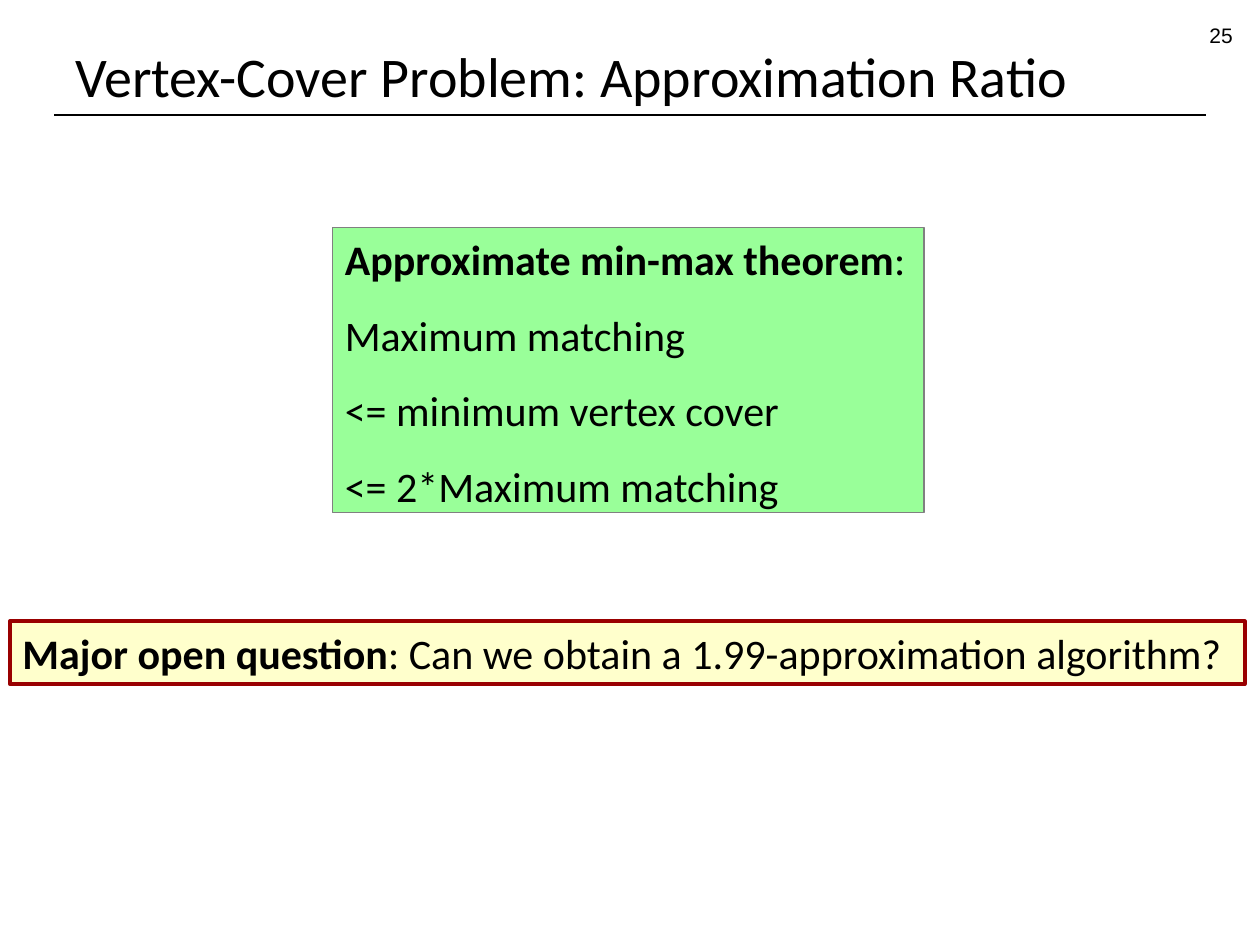
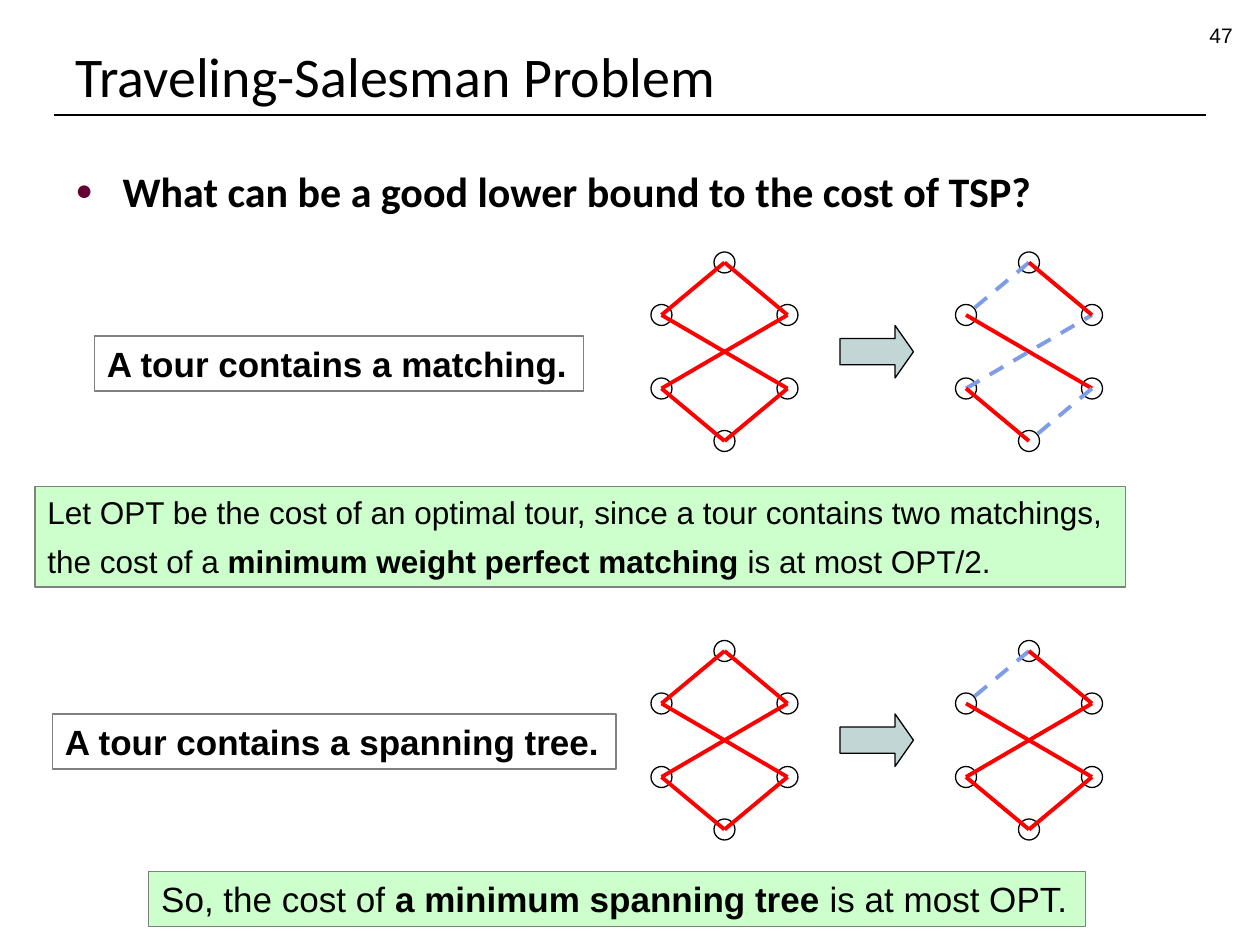
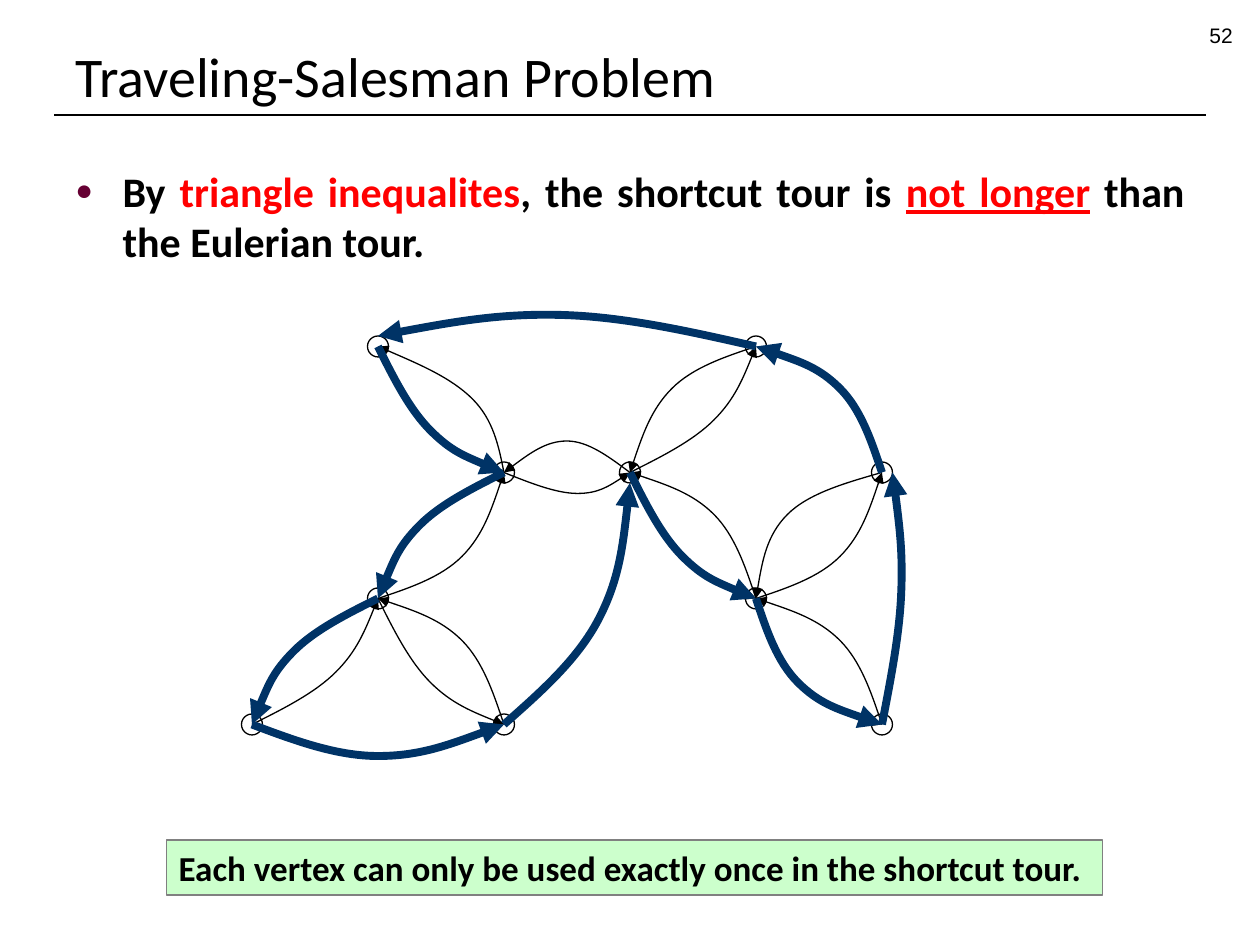
from typing import NamedTuple, Optional, Sequence

from lxml import etree
from pptx import Presentation
from pptx.dml.color import RGBColor
from pptx.enum.dml import MSO_LINE
from pptx.enum.shapes import MSO_CONNECTOR, MSO_SHAPE
from pptx.enum.text import MSO_ANCHOR, MSO_AUTO_SIZE, PP_ALIGN
from pptx.oxml.ns import qn
from pptx.util import Pt

STRAIGHT = MSO_CONNECTOR.STRAIGHT
RECTANGLE, OVAL, ARROW = MSO_SHAPE.RECTANGLE, MSO_SHAPE.OVAL, MSO_SHAPE.RIGHT_ARROW
DASH = MSO_LINE.DASH
TOP, BOTTOM = MSO_ANCHOR.TOP, MSO_ANCHOR.BOTTOM
LEFT, RIGHT, JUSTIFY = PP_ALIGN.LEFT, PP_ALIGN.RIGHT, PP_ALIGN.JUSTIFY
GROW = MSO_AUTO_SIZE.SHAPE_TO_FIT_TEXT

# Shared look
BLACK, WHITE, GREY, RED = "000000", "FFFFFF", "808080", "FF0000"
NAVY, DROPPED_BLUE, ARROW_FILL = "003366", "7E9CE8", "C2D6D6"
MINT, GREEN, CREAM, MAROON, BULLET = "CCFFCC", "99FF99", "FFFFCC", "990000", "660033"
HEADING_FONT, LABEL_FONT = "Calibri", "Arial"
THIN, MEDIUM, THICK = 0.75, 2.25, 4.5
NODE = 12


class Span(NamedTuple):
    text: str
    bold: bool = False
    color: str = BLACK
    underline: bool = False


class Line(NamedTuple):
    spans: Sequence[Span]
    spacing: float = 1.0


class Box(NamedTuple):
    x: float
    y: float
    w: float
    h: float


class Panel(NamedTuple):
    box: Box
    lines: Sequence[Line]
    size: float
    font: str = LABEL_FONT
    fill: Optional[str] = MINT
    border: str = GREY
    border_width: float = THIN


class Point(NamedTuple):
    x: float
    y: float


class Route(NamedTuple):
    """A curve leaving a vertex; its profile is mirrored by sx and sy."""
    start: Point
    profile: Sequence[tuple]
    sx: int
    sy: int


def rgb(value: str) -> RGBColor:
    return RGBColor.from_string(value)


def paint(shape, fill: Optional[str], border: str, width: float) -> None:
    shape.shadow.inherit = False
    if fill:
        shape.fill.solid()
        shape.fill.fore_color.rgb = rgb(fill)
    else:
        shape.fill.background()
    shape.line.color.rgb = rgb(border)
    shape.line.width = Pt(width)


def write(paragraph, spans: Sequence[Span], font: str, size: float) -> None:
    for span in spans:
        run = paragraph.add_run()
        run.text = span.text
        run.font.name, run.font.size = font, Pt(size)
        run.font.bold, run.font.underline = span.bold, span.underline
        run.font.color.rgb = rgb(span.color)


def add_shape(slide, kind, box: Box, fill: Optional[str], border=BLACK, width=THIN):
    shape = slide.shapes.add_shape(kind, *map(Pt, box))
    paint(shape, fill, border, width)
    return shape


def add_label(slide, box: Box, spans: Sequence[Span], font: str, size: float,
              align=LEFT, anchor=TOP):
    frame = slide.shapes.add_textbox(*map(Pt, box)).text_frame
    frame.word_wrap = True
    frame.vertical_anchor = anchor
    paragraph = frame.paragraphs[0]
    paragraph.alignment = align
    write(paragraph, spans, font, size)
    return frame


def add_line(slide, start: Point, end: Point, color: str, width: float,
             dashed: bool = False) -> None:
    line = slide.shapes.add_connector(STRAIGHT, *map(Pt, (*start, *end)))
    line.line.color.rgb = rgb(color)
    line.line.width = Pt(width)
    if dashed:
        line.line.dash_style = DASH
    etree.SubElement(line._element.spPr, qn("a:effectLst"))


def add_panel(slide, panel: Panel) -> None:
    shape = add_shape(slide, RECTANGLE, panel.box, panel.fill, panel.border,
                      panel.border_width)
    frame = shape.text_frame
    frame.word_wrap = False
    frame.auto_size = GROW
    frame.vertical_anchor = TOP
    for i, line in enumerate(panel.lines):
        paragraph = frame.add_paragraph() if i else frame.paragraphs[0]
        paragraph.alignment = LEFT
        paragraph.line_spacing = line.spacing
        write(paragraph, line.spans, panel.font, panel.size)


def add_statement(slide, spans: Sequence[Span]) -> None:
    """Bulleted statement under the title."""
    frame = add_label(slide, Box(36, 65.5, 648, 459), spans, HEADING_FONT, 24, JUSTIFY)
    frame.margin_top = Pt(29)
    props = frame.paragraphs[0]._p.get_or_add_pPr()
    props.set("marL", str(Pt(27)))
    props.set("indent", str(-Pt(27)))
    color = etree.SubElement(props, qn("a:buClr"))
    etree.SubElement(color, qn("a:srgbClr"), val=BULLET)
    etree.SubElement(props, qn("a:buSzPct"), val="70000")
    etree.SubElement(props, qn("a:buFont"), typeface=LABEL_FONT)
    etree.SubElement(props, qn("a:buChar"), char="●")


def add_node(slide, center: Point) -> None:
    box = Box(center.x - NODE / 2, center.y - NODE / 2, NODE, NODE)
    add_shape(slide, OVAL, box, WHITE)


def add_route(slide, route: Route, color: str, width: float) -> None:
    x, y = route.start
    points = [(Pt(x + route.sx * dx), Pt(y + route.sy * dy)) for dx, dy in route.profile]
    builder = slide.shapes.build_freeform(Pt(x), Pt(y))
    builder.add_line_segments(points, close=False)
    curve = builder.convert_to_shape()
    paint(curve, None, color, width)
    # Every three straight segments become one Bezier segment
    properties = curve._element.spPr
    outline = properties.find(".//" + qn("a:path"))
    segments = outline.findall(qn("a:lnTo"))
    for i in range(0, len(segments), 3):
        bezier = etree.SubElement(outline, qn("a:cubicBezTo"))
        for segment in segments[i:i + 3]:
            bezier.append(segment[0])
            outline.remove(segment)
    etree.SubElement(properties.find(qn("a:ln")), qn("a:tailEnd"), type="triangle")


def new_slide(deck, title: str, number: int):
    slide = deck.slides.add_slide(deck.slide_layouts[6])
    add_line(slide, Point(31, 65.8), Point(689, 65.8), BLACK, THIN)
    add_label(slide, Box(36, 9.5, 648, 56), [Span(title)], HEADING_FONT, 32, anchor=BOTTOM)
    add_label(slide, Box(543.5, 9.5, 168, 20), [Span(str(number))], LABEL_FONT, 12, RIGHT)
    return slide


# Approximation ratio
RATIO_PANELS = [
    Panel(Box(5.75, 355, 705.5, 36),
          [Line([Span("Major open question", True),
                 Span(": Can we obtain a 1.99-approximation algorithm?")])],
          24, HEADING_FONT, CREAM, MAROON, MEDIUM),
    Panel(Box(190, 130, 338, 163),
          [Line([Span("Approximate min-max theorem", True), Span(":")]),
           Line([Span("Maximum matching")], 1.5),
           Line([Span("<= minimum vertex cover")], 1.5),
           Line([Span("<= 2*Maximum matching")], 1.5)],
          24, HEADING_FONT, GREEN),
]

# Lower bounds: a tour on six vertices, measured from its top vertex
TOUR_VERTICES = {
    "top": Point(0, 0), "upper left": Point(-36, 30), "upper right": Point(36, 30),
    "lower left": Point(-36, 72), "lower right": Point(36, 72), "bottom": Point(0, 102),
}
TOUR_EDGES = [
    ("top", "upper left"), ("upper left", "lower right"), ("lower left", "upper right"),
    ("lower right", "bottom"), ("lower left", "bottom"), ("top", "upper right"),
]
TREE_DROPS = TOUR_EDGES[:1]
MATCHING_DROPS = [TOUR_EDGES[i] for i in (0, 2, 3)]
TOUR_X, SUBGRAPH_X = 414, 588
MATCHING_Y, TREE_Y = 150, 372

BOUND_PANELS = [
    Panel(Box(54, 192, 279.5, 31.5), [Line([Span("A tour contains a matching.", True)])],
          20, fill=None),
    Panel(Box(20, 278, 623, 57.5),
          [Line([Span("Let OPT be the cost of an optimal tour, since a tour contains "
                      "two matchings,")]),
           Line([Span("the cost of a "), Span("minimum weight perfect matching ", True),
                 Span("is at most OPT/2.")], 1.3)], 18),
    Panel(Box(30, 408, 322, 31.5), [Line([Span("A tour contains a spanning tree.", True)])],
          20, fill=None),
    Panel(Box(85, 498, 535.5, 31.5),
          [Line([Span("So, the cost of "), Span("a minimum spanning tree ", True),
                 Span("is at most OPT.")])], 20),
]


def add_tour(slide, x: float, y: float, dropped: Sequence[tuple] = ()) -> None:
    spots = {name: Point(x + v.x, y + v.y) for name, v in TOUR_VERTICES.items()}
    for spot in spots.values():
        add_node(slide, spot)
    for edge in TOUR_EDGES:
        gone = edge in dropped
        add_line(slide, spots[edge[0]], spots[edge[1]],
                 DROPPED_BLUE if gone else RED, MEDIUM, gone)


def add_reduction(slide, y: float, dropped: Sequence[tuple]) -> None:
    """A tour, an arrow, and what remains without the dropped edges."""
    add_tour(slide, TOUR_X, y)
    arrow = add_shape(slide, ARROW, Box(480, y + 36, 42, 30), ARROW_FILL)
    arrow.adjustments[0], arrow.adjustments[1] = 0.5, 0.35
    add_tour(slide, SUBGRAPH_X, y, dropped)


# Shortcut tour: vertices on a square grid
STEP = 72


def grid(column: int, row: int) -> Point:
    return Point(144 + STEP * column, 198 + STEP * row)


A, B, C, D = grid(1, 0), grid(2, 1), grid(3, 1), grid(4, 0)
E, F, G = grid(1, 2), grid(0, 3), grid(2, 3)
H, I, J = grid(4, 2), grid(5, 1), grid(5, 3)


def swap(profile: Sequence[tuple]) -> list:
    return [(y, x) for x, y in profile]


# Curve profiles across one grid cell; the flat ones leave sideways
SLACK = [(9, 18), (18, 36), (30, 48), (42, 60), (57, 66), (72, 72)]
ROUND = [(6, 18), (12, 36), (24, 48), (36, 60), (54, 66), (72, 72)]
FLAT_SLACK, FLAT_ROUND = swap(SLACK), swap(ROUND)
FLAT_WIDE = [(21, 6), (42, 12), (54, 24), (66, 36), (69, 54), (72, 72)]
STEEP = [(3, 15), (6, 30), (18, 42), (30, 54), (51, 63), (72, 72)]
# Curves between particular vertices
DIP = [(15, 6), (30, 12), (42, 12), (54, 12), (63, 6), (72, 0)]
HUMP = [(12, 9), (24, 18), (36, 18), (48, 18), (60, 9), (72, 0)]
LONG_DIP = [(24, 9), (48, 18), (72, 18), (96, 18), (120, 9), (144, 0)]
CLIMB = [(21, 18.5), (42, 37), (54, 60), (66, 83), (69, 110), (72, 138)]
SIDE = [(5, 26), (10, 51), (11, 75), (12, 99), (9, 122), (6, 144)]
ROOF = [(37.5, 8.5), (75, 17), (111, 18), (147, 19), (181.5, 12.5), (216, 6)]

EULERIAN_TOUR = [
    Route(F, FLAT_SLACK, 1, -1), Route(E, SLACK, 1, 1), Route(G, ROUND, -1, -1),
    Route(E, FLAT_ROUND, 1, -1), Route(B, DIP, 1, 1), Route(C, SLACK, 1, 1),
    Route(H, ROUND, 1, 1), Route(J, ROUND, -1, -1), Route(H, FLAT_ROUND, 1, -1),
    Route(I, FLAT_WIDE, -1, 1), Route(H, ROUND, -1, -1), Route(C, FLAT_SLACK, 1, -1),
    Route(D, FLAT_ROUND, -1, 1), Route(C, HUMP, -1, -1), Route(B, STEEP, -1, -1),
]
SHORTCUT_TOUR = [
    Route(A, SLACK, 1, 1), Route(B, FLAT_SLACK, -1, 1), Route(E, FLAT_SLACK, -1, 1),
    Route(F, LONG_DIP, 1, 1), Route(G, CLIMB, 1, -1), Route(C, SLACK, 1, 1),
    Route(H, ROUND, 1, 1), Route(J, SIDE, 1, -1), Route(I, ROUND, -1, -1),
    Route(D, ROOF, -1, -1),
]
SHORTCUT_PANEL = Panel(
    Box(95, 480, 535, 31.5),
    [Line([Span("Each vertex can only be used exactly once in the shortcut tour.", True)])],
    20, HEADING_FONT)


def build_ratio_slide(deck) -> None:
    slide = new_slide(deck, "Vertex-Cover Problem: Approximation Ratio", 25)
    for panel in RATIO_PANELS:
        add_panel(slide, panel)


def build_bounds_slide(deck) -> None:
    slide = new_slide(deck, "Traveling-Salesman Problem", 47)
    add_statement(slide, [Span("What can be a good lower bound to the cost of TSP?", True)])
    for panel in BOUND_PANELS:
        add_panel(slide, panel)
    add_reduction(slide, MATCHING_Y, MATCHING_DROPS)
    add_reduction(slide, TREE_Y, TREE_DROPS)


def build_shortcut_slide(deck) -> None:
    slide = new_slide(deck, "Traveling-Salesman Problem", 52)
    add_statement(slide, [
        Span("By ", True), Span("triangle inequalites", True, RED),
        Span(", the shortcut tour is ", True), Span("not longer", True, RED, True),
        Span(" than the Eulerian tour.", True)])
    for vertex in (A, B, C, D, E, F, G, H, I, J):
        add_node(slide, vertex)
    for route in EULERIAN_TOUR:
        add_route(slide, route, BLACK, THIN)
    for route in SHORTCUT_TOUR:
        add_route(slide, route, NAVY, THICK)
    add_panel(slide, SHORTCUT_PANEL)


def main() -> None:
    deck = Presentation()
    deck.slide_width, deck.slide_height = Pt(720), Pt(540)
    build_ratio_slide(deck)
    build_bounds_slide(deck)
    build_shortcut_slide(deck)
    deck.save("out.pptx")


if __name__ == "__main__":
    main()
